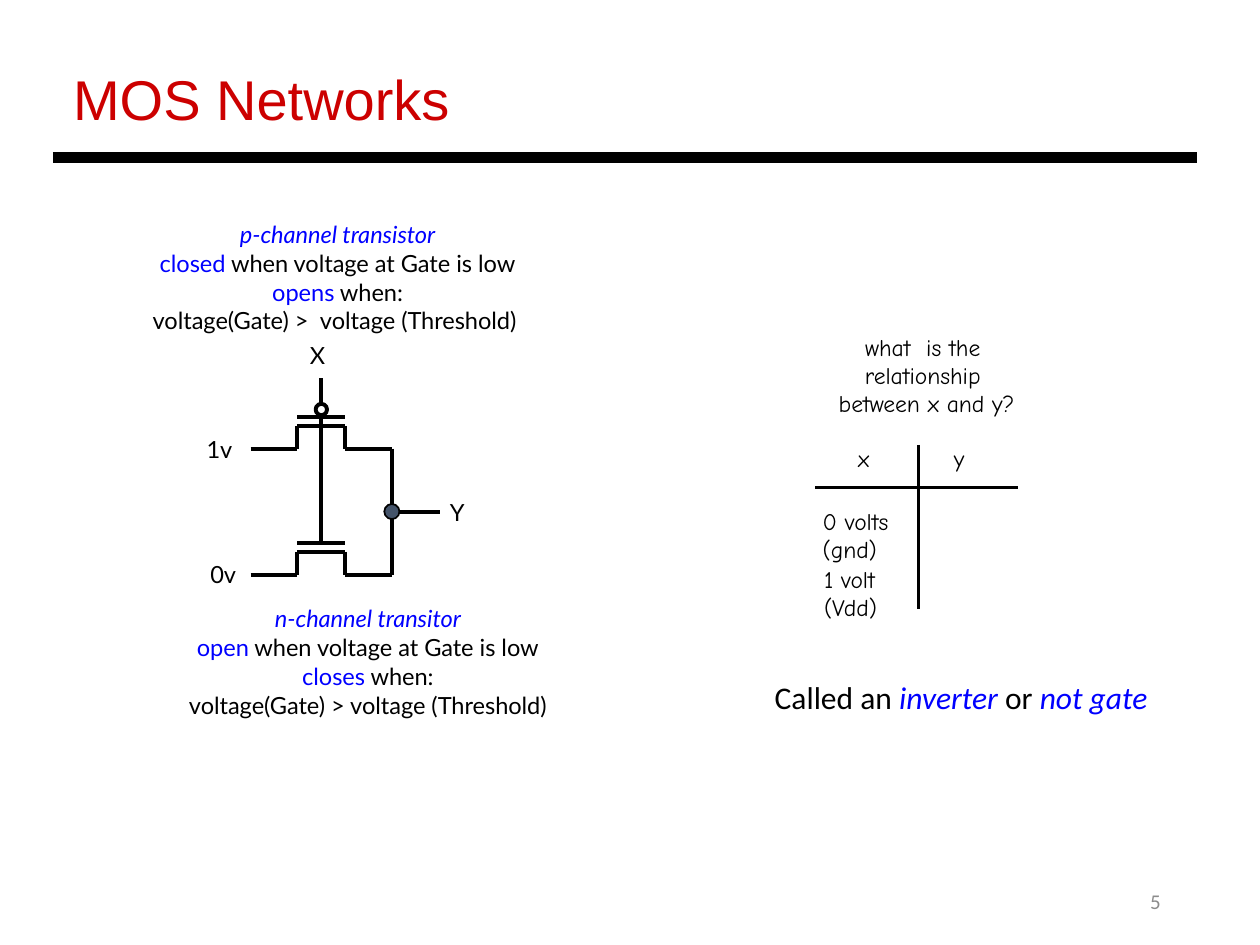
import dataclasses

import lxml.etree
import pptx
import pptx.dml.color
import pptx.enum.shapes
import pptx.enum.text
import pptx.oxml.ns
import pptx.util

Inches = pptx.util.Inches
Pt = pptx.util.Pt
Align = pptx.enum.text.PP_ALIGN
Anchor = pptx.enum.text.MSO_ANCHOR


@dataclasses.dataclass(frozen=True)
class Theme:
    black: str = "000000"
    white: str = "FFFFFF"
    title_red: str = "CC0000"
    accent_blue: str = "0000FF"
    node_slate: str = "44546A"
    number_gray: str = "8C8C8C"
    title_font: str = "Arial"
    body_font: str = "Calibri"
    label_font: str = "Lato"
    note_font: str = "Comic Neue"
    title_size: float = 32
    caption_size: float = 18
    label_size: float = 13.5
    number_size: float = 12
    label_spacing: float = 15.8
    note_spacing: float = 16.5
    rule_width: float = 6
    wire_width: float = 2.25
    table_width: float = 2


class SlideBuilder:
    def __init__(self, slide, theme):
        self.slide = slide
        self.theme = theme

    def color(self, value):
        return pptx.dml.color.RGBColor.from_string(value)

    def format_run(self, run, font, size, color, italic=False):
        run.font.name = font
        run.font.size = Pt(size)
        run.font.color.rgb = self.color(color)
        run.font.italic = italic

    def title(self, text, left, top, width, height):
        shape = self.slide.shapes.title
        shape.left, shape.top = Inches(left), Inches(top)
        shape.width, shape.height = Inches(width), Inches(height)
        frame = shape.text_frame
        frame.text = text
        frame.vertical_anchor = Anchor.MIDDLE
        paragraph = frame.paragraphs[0]
        paragraph.alignment = Align.LEFT
        self.format_run(paragraph.runs[0], self.theme.title_font,
                        self.theme.title_size, self.theme.title_red)

    def text(self, paragraphs, left, top, width, height, font, size,
             color=None, align=Align.LEFT, spacing=None, inset=0.02,
             anchor=Anchor.TOP, wrap=False):
        """Each paragraph is a list of (text, color, italic); a final \\v breaks the line."""
        box = self.slide.shapes.add_textbox(
            Inches(left), Inches(top), Inches(width), Inches(height))
        frame = box.text_frame
        frame.word_wrap = wrap
        frame.vertical_anchor = anchor
        frame.margin_top = frame.margin_bottom = Inches(min(inset, 0.05))
        frame.margin_left = frame.margin_right = Inches(inset)
        for index, parts in enumerate(paragraphs):
            paragraph = frame.add_paragraph() if index else frame.paragraphs[0]
            paragraph.alignment = align
            if spacing:
                paragraph.line_spacing = Pt(spacing)
            for words, part_color, italic in parts:
                run = paragraph.add_run()
                run.text = words.rstrip("\v")
                self.format_run(run, font, size, part_color, italic)
                if words.endswith("\v"):
                    paragraph.add_line_break()

    def label(self, lines, left, top, width=0.3, height=0.34, font=None,
              align=Align.LEFT):
        theme = self.theme
        self.text([[(line, theme.black, False)] for line in lines],
                  left, top, width, height, font or theme.label_font,
                  theme.label_size, align=align, spacing=theme.label_spacing)

    def channel_note(self, kind, first_state, second_state, condition,
                     left, top, width):
        theme = self.theme
        opening = [(kind + "\v", theme.accent_blue, True),
                   (first_state, theme.accent_blue, False),
                   (" when voltage at Gate is low\v", theme.black, False),
                   (second_state, theme.accent_blue, False),
                   (" when:", theme.black, False)]
        self.text([opening, [(condition, theme.black, False)]],
                  left, top, width, 1.03, theme.label_font, theme.label_size,
                  align=Align.CENTER, spacing=theme.note_spacing)

    def line(self, start, end, width, shapes=None):
        connector = (shapes or self.slide.shapes).add_connector(
            pptx.enum.shapes.MSO_CONNECTOR.STRAIGHT,
            Inches(start[0]), Inches(start[1]), Inches(end[0]), Inches(end[1]))
        connector.line.color.rgb = self.color(self.theme.black)
        connector.line.width = Pt(width)
        lxml.etree.SubElement(connector.element.spPr,
                              pptx.oxml.ns.qn("a:effectLst"))

    def circle(self, center, diameter, fill, width, shapes=None):
        shape = (shapes or self.slide.shapes).add_shape(
            pptx.enum.shapes.MSO_SHAPE.OVAL,
            Inches(center[0] - diameter / 2), Inches(center[1] - diameter / 2),
            Inches(diameter), Inches(diameter))
        shape.shadow.inherit = False
        shape.fill.solid()
        shape.fill.fore_color.rgb = self.color(fill)
        shape.line.color.rgb = self.color(self.theme.black)
        shape.line.width = Pt(width)

    def transistor(self, base, bubble=False):
        shapes = self.slide.shapes.add_group_shape().shapes
        channel, gate = base - 0.18, base - 0.25
        # Source lead, channel step and drain lead
        outline = [(1.99, base), (2.36, base), (2.36, channel),
                   (2.74, channel), (2.74, base), (3.11, base)]
        for start, end in zip(outline, outline[1:]):
            self.line(start, end, self.theme.wire_width, shapes)
        # Gate plate and gate lead
        self.line((2.36, gate), (2.74, gate), self.theme.wire_width, shapes)
        self.line((2.55, gate), (2.55, gate - 0.19),
                  self.theme.wire_width, shapes)
        if bubble:
            self.circle((2.55, gate - 0.06), 0.09, self.theme.white,
                        self.theme.wire_width, shapes)


def main():
    theme = Theme()
    presentation = pptx.Presentation()
    presentation.slide_width = Inches(10)
    presentation.slide_height = Inches(7.5)
    slide = presentation.slides.add_slide(presentation.slide_layouts[5])
    builder = SlideBuilder(slide, theme)

    # Heading, rule and slide number
    builder.title("MOS Networks", 0.48, 0.46, 7.7, 0.64)
    builder.line((0.42, 1.25), (9.5, 1.25), theme.rule_width)
    builder.text([[("5", theme.number_gray, False)]], 7.06, 6.95, 2.25, 0.4,
                 theme.body_font, theme.number_size, align=Align.RIGHT,
                 inset=0.1, anchor=Anchor.MIDDLE, wrap=True)

    # Circuit: shared input, output node and two transistors
    for start, end in [((3.11, 3.56), (3.11, 4.56)),
                       ((3.11, 4.06), (3.49, 4.06)),
                       ((2.55, 3), (2.55, 4.19))]:
        builder.line(start, end, theme.wire_width)
    builder.transistor(4.56)
    builder.transistor(3.56, bubble=True)
    builder.circle((3.11, 4.06), 0.12, theme.node_slate, 1)
    for name, left, top in [("X", 2.44, 2.69), ("Y", 3.55, 3.94),
                            ("1v", 1.62, 3.44), ("0v", 1.65, 4.43)]:
        builder.label([name], left, top)

    # Transistor rules
    builder.channel_note("p-channel transistor", "closed", "opens",
                         "voltage(Gate) >  voltage (Threshold) ",
                         0.55, 1.72, 4.26)
    builder.channel_note("n-channel transitor", "open", "closes",
                         "voltage(Gate) > voltage (Threshold)",
                         1.28, 4.77, 3.28)

    # Question and truth table
    builder.label(["what  is the ", "relationship ", "between x and y?"],
                  6.49, 2.63, 1.73, 0.77, theme.note_font, Align.CENTER)
    builder.line((6.47, 3.87), (8.08, 3.87), theme.table_width)
    builder.line((7.29, 3.53), (7.29, 4.83), theme.table_width)
    for lines, left, top, width in [(["x"], 6.79, 3.51, 0.3),
                                    (["y"], 7.55, 3.51, 0.3),
                                    (["0 volts", "(gnd)"], 6.51, 4.01, 0.73),
                                    (["1 volt", "(Vdd)"], 6.52, 4.47, 0.73)]:
        builder.label(lines, left, top, width, font=theme.note_font)

    # Conclusion
    builder.text([[("Called an ", theme.black, False),
                   ("inverter ", theme.accent_blue, True),
                   ("or ", theme.black, False),
                   ("not gate", theme.accent_blue, True)]],
                 6.05, 5.33, 3.19, 0.4, theme.body_font, theme.caption_size,
                 inset=0.1)

    presentation.save("out.pptx")


if __name__ == "__main__":
    main()
